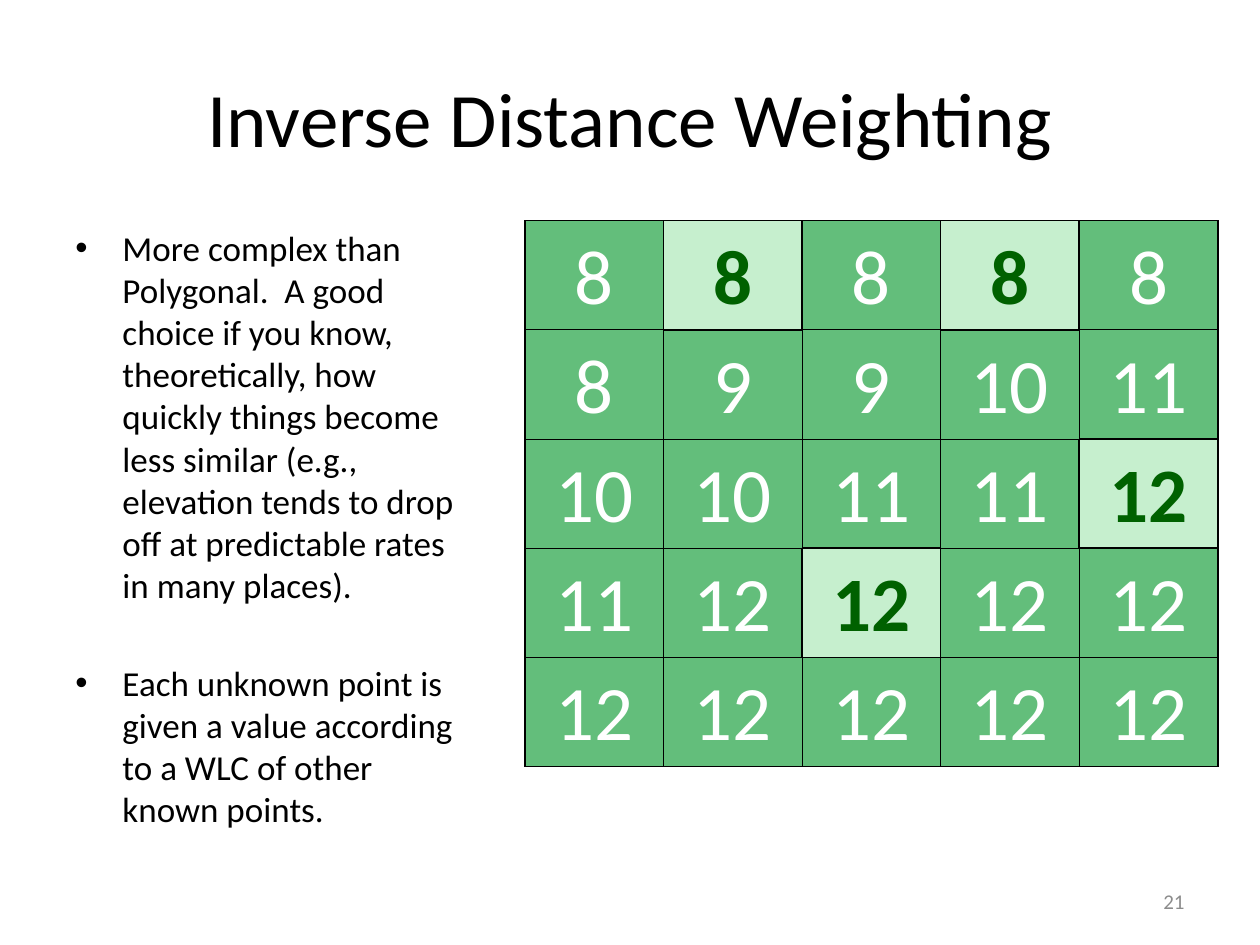
from dataclasses import dataclass

from lxml.etree import SubElement
from pptx import Presentation
from pptx.dml.color import RGBColor
from pptx.enum.text import MSO_ANCHOR, PP_ALIGN
from pptx.oxml.ns import qn
from pptx.util import Cm, Pt


@dataclass(frozen=True)
class Theme:
    font: str = "Calibri"
    ink: str = "000000"
    muted: str = "8C8C8C"
    estimated_fill: str = "63BE7B"
    estimated_text: str = "FFFFFF"
    known_fill: str = "C6EFCE"
    known_text: str = "006100"
    large: int = 44
    body: int = 20
    small: int = 12
    thick: float = 1
    thin: float = 0.5


@dataclass(frozen=True)
class Box:
    left: float
    top: float
    width: float
    height: float

    def lengths(self):
        return Cm(self.left), Cm(self.top), Cm(self.width), Cm(self.height)


THEME = Theme()
TITLE_BOX = Box(1.27, 0.76, 22.86, 3.18)
POINTS_BOX = Box(1.27, 4.45, 8.46, 12.57)
NUMBER_BOX = Box(18.2, 17.65, 5.93, 1.02)
GRID_BOX = Box(10.58, 4.45, 13.97, 11)

POINTS = [
    "More complex than Polygonal.  A good choice if you know, theoretically, "
    "how quickly things become less similar (e.g., elevation tends to drop off "
    "at predictable rates in many places).",
    "Each unknown point is given a value according to a WLC of other known points.",
]
VALUES = [
    [8, 8, 8, 8, 8],
    [8, 9, 9, 10, 11],
    [10, 10, 11, 11, 12],
    [11, 12, 12, 12, 12],
    [12, 12, 12, 12, 12],
]
KNOWN = {(0, 1), (0, 3), (2, 4), (3, 2)}
# Cell side -> step to the neighbour on that side
SIDES = {"a:lnL": (0, -1), "a:lnR": (0, 1), "a:lnT": (-1, 0), "a:lnB": (1, 0)}


def write(paragraph, text: str, *, size: float, color: str, bold: bool = False,
          align=PP_ALIGN.LEFT, before: float = 0) -> None:
    """Put formatted text in a paragraph."""
    paragraph.alignment = align
    paragraph.space_before = Pt(before)
    run = paragraph.add_run()
    run.text = text
    run.font.name = THEME.font
    run.font.size = Pt(size)
    run.font.bold = bold
    run.font.color.rgb = RGBColor.from_string(color)


def add_frame(slide, box: Box, anchor):
    frame = slide.shapes.add_textbox(*box.lengths()).text_frame
    frame.word_wrap = True
    frame.vertical_anchor = anchor
    return frame


def add_bullet(paragraph) -> None:
    properties = paragraph._p.get_or_add_pPr()
    properties.set("marL", str(Cm(0.95)))
    properties.set("indent", str(-Cm(0.95)))
    SubElement(properties, qn("a:buFont"), typeface="Arial")
    SubElement(properties, qn("a:buChar"), char="•")


def border_width(row: int, column: int, step: tuple[int, int]) -> float:
    """Thick around the grid and around known points, thin elsewhere."""
    near = (row + step[0], column + step[1])
    inside = 0 <= near[0] < len(VALUES) and 0 <= near[1] < len(VALUES[0])
    if not inside or near in KNOWN or (row, column) in KNOWN:
        return THEME.thick
    return THEME.thin


def draw_borders(cell, row: int, column: int) -> None:
    properties = cell._tc.get_or_add_tcPr()
    for position, (side, step) in enumerate(SIDES.items()):
        width = Pt(border_width(row, column, step))
        line = SubElement(properties, qn(side), w=str(width))
        fill = SubElement(line, qn("a:solidFill"))
        SubElement(fill, qn("a:srgbClr"), val=THEME.ink)
        properties.insert(position, line)


def draw_cell(cell, row: int, column: int) -> None:
    known = (row, column) in KNOWN
    cell.vertical_anchor = MSO_ANCHOR.MIDDLE
    cell.margin_left = cell.margin_right = cell.margin_top = Cm(0.1)
    cell.margin_bottom = 0
    cell.fill.solid()
    cell.fill.fore_color.rgb = RGBColor.from_string(
        THEME.known_fill if known else THEME.estimated_fill)
    write(cell.text_frame.paragraphs[0], str(VALUES[row][column]),
          size=THEME.large, bold=known, align=PP_ALIGN.CENTER,
          color=THEME.known_text if known else THEME.estimated_text)
    draw_borders(cell, row, column)


def draw_grid(slide) -> None:
    rows, columns = len(VALUES), len(VALUES[0])
    grid = slide.shapes.add_table(rows, columns, *GRID_BOX.lengths()).table
    grid.first_row = grid.horz_banding = False
    for row in range(rows):
        for column in range(columns):
            draw_cell(grid.cell(row, column), row, column)


def main() -> None:
    deck = Presentation()
    deck.slide_width, deck.slide_height = Cm(25.4), Cm(19.05)
    slide = deck.slides.add_slide(deck.slide_layouts[6])

    # Title and slide number
    title = add_frame(slide, TITLE_BOX, MSO_ANCHOR.MIDDLE)
    write(title.paragraphs[0], "Inverse Distance Weighting",
          size=THEME.large, color=THEME.ink, align=PP_ALIGN.CENTER)
    number = add_frame(slide, NUMBER_BOX, MSO_ANCHOR.MIDDLE)
    write(number.paragraphs[0], "21",
          size=THEME.small, color=THEME.muted, align=PP_ALIGN.RIGHT)

    # Bullet points
    points = add_frame(slide, POINTS_BOX, MSO_ANCHOR.TOP)
    for index, point in enumerate(POINTS):
        paragraph = points.add_paragraph() if index else points.paragraphs[0]
        write(paragraph, point, size=THEME.body, color=THEME.ink,
              before=32 if index else 0)
        add_bullet(paragraph)

    # Grid of known and estimated values
    draw_grid(slide)

    deck.save("out.pptx")


if __name__ == "__main__":
    main()
